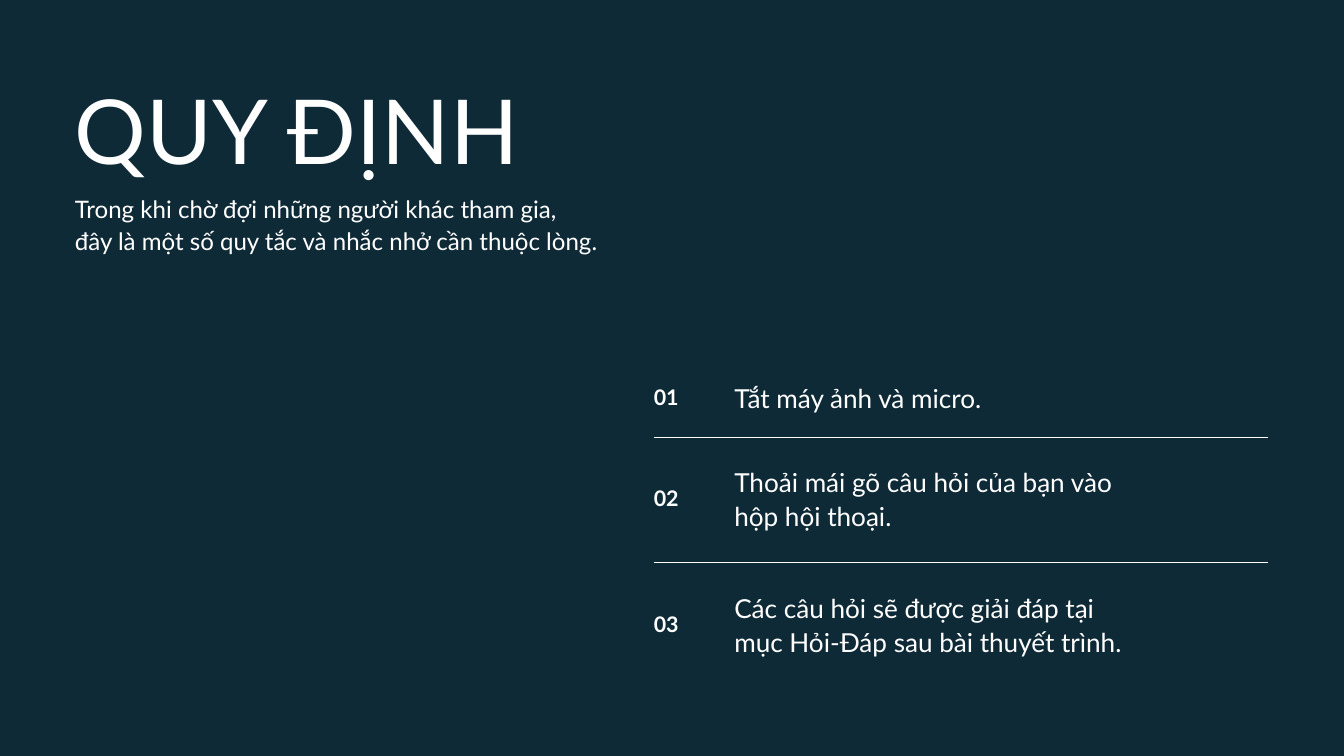
from dataclasses import dataclass

import pptx
import pptx.dml.color
import pptx.enum.shapes
import pptx.enum.text
import pptx.oxml.ns
import pptx.slide
import pptx.util
from lxml import etree

EMU_PER_PX = 9525  # 96 px to the inch
COLORS = {"background": "0F2A37", "foreground": "FFFFFF"}
FONT = "Lato"

LEFT_MARGIN = 107
HEADING_WIDTH = 882
NUMBER_LEFT, NUMBER_WIDTH, NUMBER_HEIGHT = 934, 63, 40
RULE_LEFT, RULE_WIDTH = 1049, 762
DIVIDER_RIGHT = 1812


@dataclass(frozen=True)
class TextStyle:
    size: float
    line_spacing: float
    bold: bool = False


@dataclass(frozen=True)
class Rule:
    top: int
    height: int
    lines: tuple[str, ...]


TITLE = TextStyle(96, 115.2)
SUBTITLE = TextStyle(25.8, 33.5)
NUMBER = TextStyle(23, 29.9, bold=True)
BODY = TextStyle(28, 36.4)

RULES = (
    Rule(543, 46, ("Tắt máy ảnh và micro.",)),
    Rule(663, 95, ("Thoải mái gõ câu hỏi của bạn vào", "hộp hội thoại.")),
    Rule(843, 95, ("Các câu hỏi sẽ được giải đáp tại", "mục Hỏi-Đáp sau bài thuyết trình.")),
)
DIVIDER_TOPS = (625, 803)


def px(length: int) -> pptx.util.Emu:
    return pptx.util.Emu(length * EMU_PER_PX)


def color(name: str) -> pptx.dml.color.RGBColor:
    return pptx.dml.color.RGBColor.from_string(COLORS[name])


def add_text(slide: pptx.slide.Slide, left: int, top: int, width: int, height: int,
             lines: tuple[str, ...], style: TextStyle) -> None:
    shape = slide.shapes.add_textbox(px(left), px(top), px(width), px(height))
    frame = shape.text_frame
    frame.word_wrap = True
    frame.auto_size = pptx.enum.text.MSO_AUTO_SIZE.SHAPE_TO_FIT_TEXT
    frame.margin_left = frame.margin_top = frame.margin_right = frame.margin_bottom = 0
    frame.text = "\n".join(lines)
    for paragraph in frame.paragraphs:
        paragraph.line_spacing = pptx.util.Pt(style.line_spacing)
        paragraph.font.name = FONT
        paragraph.font.size = pptx.util.Pt(style.size)
        paragraph.font.bold = style.bold
        paragraph.font.color.rgb = color("foreground")


def add_rule(slide: pptx.slide.Slide, number: int, rule: Rule) -> None:
    # The number is centred vertically on its rule
    number_top = rule.top + (rule.height - NUMBER_HEIGHT) // 2
    add_text(slide, NUMBER_LEFT, number_top, NUMBER_WIDTH, NUMBER_HEIGHT,
             (f"{number:02d}",), NUMBER)
    add_text(slide, RULE_LEFT, rule.top, RULE_WIDTH, rule.height, rule.lines, BODY)


def add_divider(slide: pptx.slide.Slide, top: int) -> None:
    connector = slide.shapes.add_connector(
        pptx.enum.shapes.MSO_CONNECTOR.STRAIGHT,
        px(NUMBER_LEFT), px(top), px(DIVIDER_RIGHT), px(top))
    connector.line.color.rgb = color("foreground")
    connector.line.width = pptx.util.Pt(0.75)
    etree.SubElement(connector._element.spPr, pptx.oxml.ns.qn("a:effectLst"))


def main() -> None:
    presentation = pptx.Presentation()
    presentation.slide_width, presentation.slide_height = px(1920), px(1080)
    slide = presentation.slides.add_slide(presentation.slide_layouts[6])
    slide.background.fill.solid()
    slide.background.fill.fore_color.rgb = color("background")

    # Heading
    add_text(slide, LEFT_MARGIN, 107, HEADING_WIDTH, 156, ("QUY ĐỊNH",), TITLE)
    add_text(slide, LEFT_MARGIN, 275, HEADING_WIDTH, 88,
             ("Trong khi chờ đợi những người khác tham gia,",
              "đây là một số quy tắc và nhắc nhở cần thuộc lòng."), SUBTITLE)

    # Numbered rules and the dividers between them
    for number, rule in enumerate(RULES, start=1):
        add_rule(slide, number, rule)
    for top in DIVIDER_TOPS:
        add_divider(slide, top)

    presentation.save("out.pptx")


if __name__ == "__main__":
    main()
